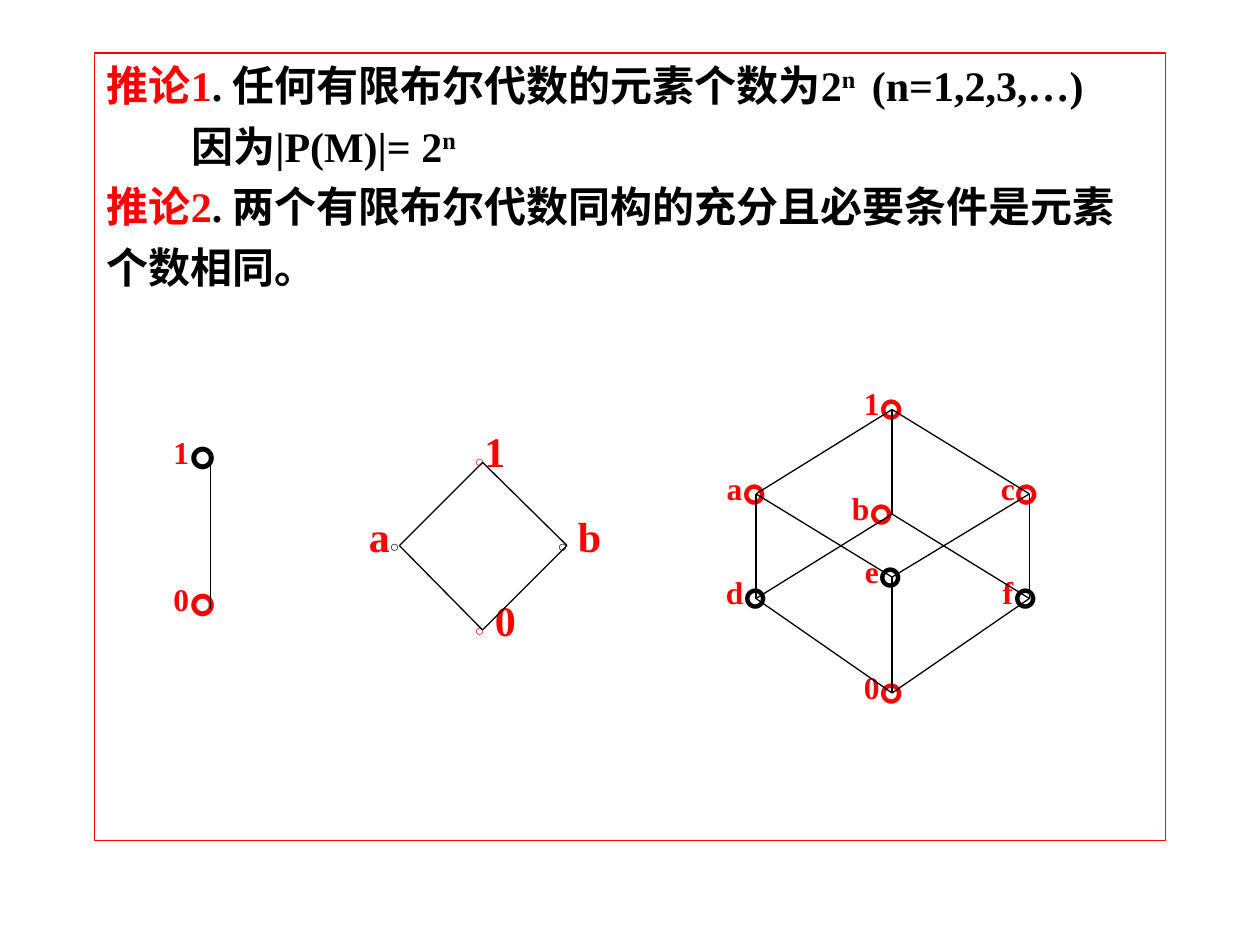
import pptx
import pptx.util
import pptx.dml.color
import pptx.enum.shapes
import pptx.enum.text
import lxml.etree
from pptx.util import Inches
from dataclasses import dataclass


@dataclass(frozen=True)
class Theme:
    red: str = "FF0000"
    black: str = "000000"
    serif: str = "Times New Roman"
    sans: str = "Arial"
    body: int = 24
    label: int = 18
    small_ring: int = 9
    line: float = 0.75


THEME = Theme()
RED, BLACK = THEME.red, THEME.black

# Statement: (left indent, runs), each run (text, colour, is superscript)
STATEMENT_BOX = (0.75, 0.42, 8.5, 6.25)
STATEMENT = [
    (0, [("推论1", RED, False), (". 任何有限布尔代数的元素个数为2", BLACK, False),
         ("n ", BLACK, True), (" (n=1,2,3,…)", BLACK, False)]),
    (0.67, [("因为|P(M)|= 2", BLACK, False), ("n", BLACK, True)]),
    (0, [("推论2", RED, False), (". 两个有限布尔代数同构的充分且必要条件是元素", BLACK, False)]),
    (0, [("个数相同。", BLACK, False)]),
]

# Labels with a large ring: (name, left, top, ring colour)
CUBE = dict(
    size=(1, 0.7), ring=36,
    labels=[("1", 6.67, 2.75, RED), ("e", 6.67, 4.08, BLACK), ("0", 6.67, 5, RED),
            ("d", 5.58, 4.25, BLACK), ("f", 7.75, 4.25, BLACK), ("b", 6.58, 3.58, RED),
            ("c", 7.75, 3.42, RED), ("a", 5.58, 3.42, RED)],
    nodes={"1": (7.08, 3.25), "a": (6, 3.92), "b": (7.08, 4.08), "c": (8.17, 3.92),
           "d": (6, 4.75), "e": (7.08, 4.58), "f": (8.17, 4.75), "0": (7.08, 5.5)},
    edges="cf ad 1b 1a 1c bd bf d0 f0 ae ec e0")
CHAIN = dict(
    size=(1.09, 0.77), ring=40,
    labels=[("0", 1.17, 4.25, RED), ("1", 1.17, 3.08, BLACK)],
    nodes={"1": (1.67, 3.67), "0": (1.67, 4.83)},
    edges="10")

# Diamond labels: (left, top, width, runs), each run (text, is ring, colour)
DIAMOND_HEIGHT = 0.5
DIAMOND_LABELS = [
    (3.67, 4.67, 0.75, [("○", True, RED), (" 0", False, RED)]),
    (3.67, 3.33, 1.08, [("○", True, RED), ("1", False, RED)]),
    (2.83, 4, 0.75, [("a", False, RED), ("○", True, BLACK)]),
    (4.33, 4, 0.92, [("○", True, BLACK), (" b", False, RED)]),
]
DIAMOND = dict(
    nodes={"1": (3.83, 3.67), "a": (3.17, 4.33), "b": (4.5, 4.33), "0": (3.83, 5)},
    edges="1b 1a a0 b0")


def rgb(value):
    return pptx.dml.color.RGBColor.from_string(value)


def add_run(paragraph, text, colour, size=None, name=None):
    run = paragraph.add_run()
    run.text = text
    run.font.color.rgb = rgb(colour)
    if size:
        run.font.size = pptx.util.Pt(size)
    if name:
        run.font.name = name
    return run


def add_statement(slide):
    shape = slide.shapes.add_shape(pptx.enum.shapes.MSO_SHAPE.RECTANGLE,
                                   *map(Inches, STATEMENT_BOX))
    shape.shadow.inherit = False
    shape.fill.background()
    shape.line.color.rgb = rgb(RED)
    shape.line.width = pptx.util.Pt(THEME.line)
    frame = shape.text_frame
    frame.word_wrap = True
    frame.vertical_anchor = pptx.enum.text.MSO_ANCHOR.TOP
    for index, (indent, runs) in enumerate(STATEMENT):
        paragraph = frame.add_paragraph() if index else frame.paragraphs[0]
        paragraph.alignment = pptx.enum.text.PP_ALIGN.LEFT
        paragraph.space_before = pptx.util.Pt(6 if index else 0)
        paragraph._p.get_or_add_pPr().set("marL", str(Inches(indent)))
        paragraph.font.size = pptx.util.Pt(THEME.body)
        paragraph.font.name = THEME.serif
        paragraph.font.bold = True
        for text, colour, superscript in runs:
            run = add_run(paragraph, text, colour)
            if superscript:
                run.font._element.set("baseline", "30000")


def add_label(slide, left, top, width, height):
    """Adds an empty bold label and returns its frame and paragraph."""
    frame = slide.shapes.add_textbox(*map(Inches, (left, top, width, height))).text_frame
    frame.word_wrap = True
    paragraph = frame.paragraphs[0]
    paragraph.font.bold = True
    return frame, paragraph


def add_ringed_labels(slide, diagram):
    for name, left, top, ring_colour in diagram["labels"]:
        frame, paragraph = add_label(slide, left, top, *diagram["size"])
        frame.vertical_anchor = pptx.enum.text.MSO_ANCHOR.MIDDLE
        paragraph.alignment = pptx.enum.text.PP_ALIGN.CENTER
        paragraph.font.name = THEME.serif
        add_run(paragraph, name, RED, THEME.label)
        add_run(paragraph, "。", ring_colour, diagram["ring"])


def add_diamond_labels(slide):
    for left, top, width, runs in DIAMOND_LABELS:
        _, paragraph = add_label(slide, left, top, width, DIAMOND_HEIGHT)
        for text, is_ring, colour in runs:
            size, name = ((THEME.small_ring, THEME.sans) if is_ring
                          else (THEME.body, THEME.serif))
            add_run(paragraph, text, colour, size, name)


def add_edges(slide, diagram):
    for start, end in diagram["edges"].split():
        points = diagram["nodes"][start] + diagram["nodes"][end]
        connector = slide.shapes.add_connector(
            pptx.enum.shapes.MSO_CONNECTOR.STRAIGHT, *map(Inches, points))
        connector.line.color.rgb = rgb(BLACK)
        connector.line.width = pptx.util.Pt(THEME.line)
        properties = connector._element.spPr
        lxml.etree.SubElement(properties, pptx.oxml.ns.qn("a:effectLst"))


def main():
    presentation = pptx.Presentation()
    presentation.slide_width = Inches(10)
    presentation.slide_height = Inches(7.5)
    slide = presentation.slides.add_slide(presentation.slide_layouts[6])
    add_statement(slide)
    # Hasse diagrams of the algebras with 8, 2 and 4 elements
    for diagram in (CUBE, CHAIN):
        add_ringed_labels(slide, diagram)
        add_edges(slide, diagram)
    add_diamond_labels(slide)
    add_edges(slide, DIAMOND)
    presentation.save("out.pptx")


if __name__ == "__main__":
    main()
